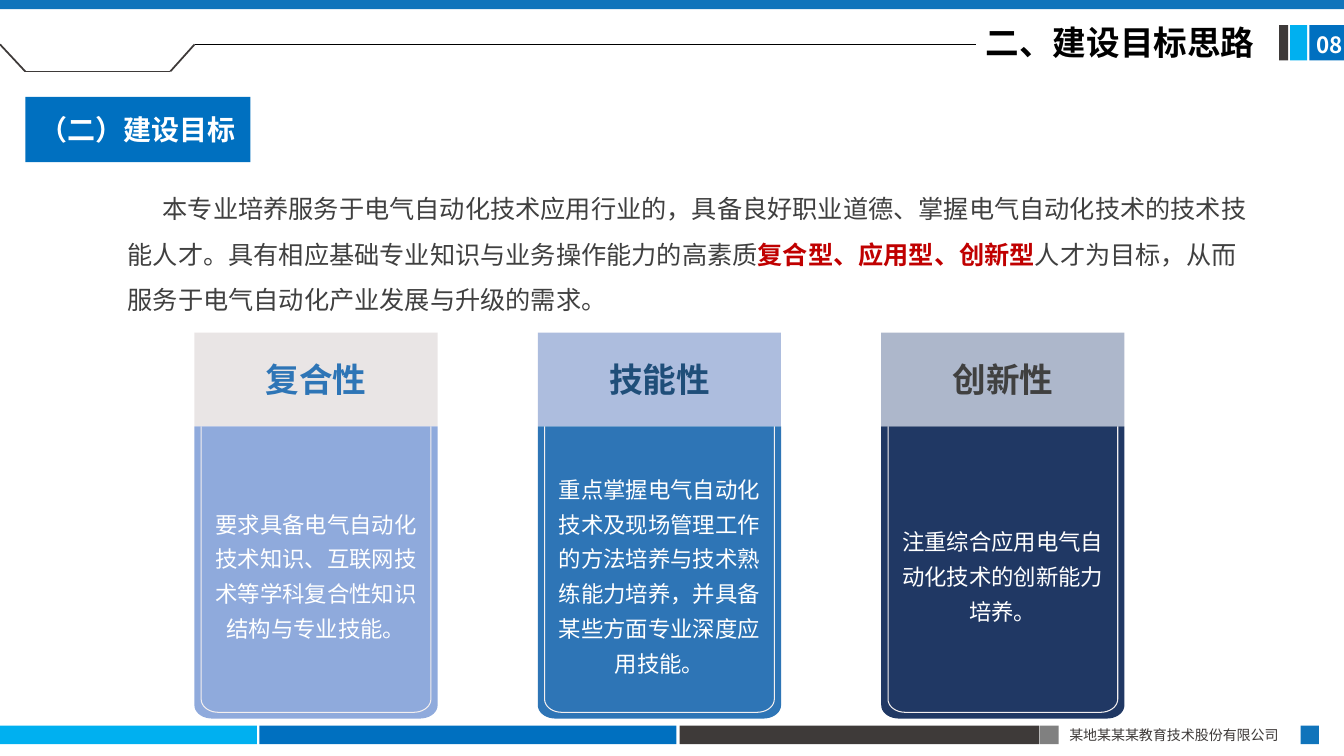
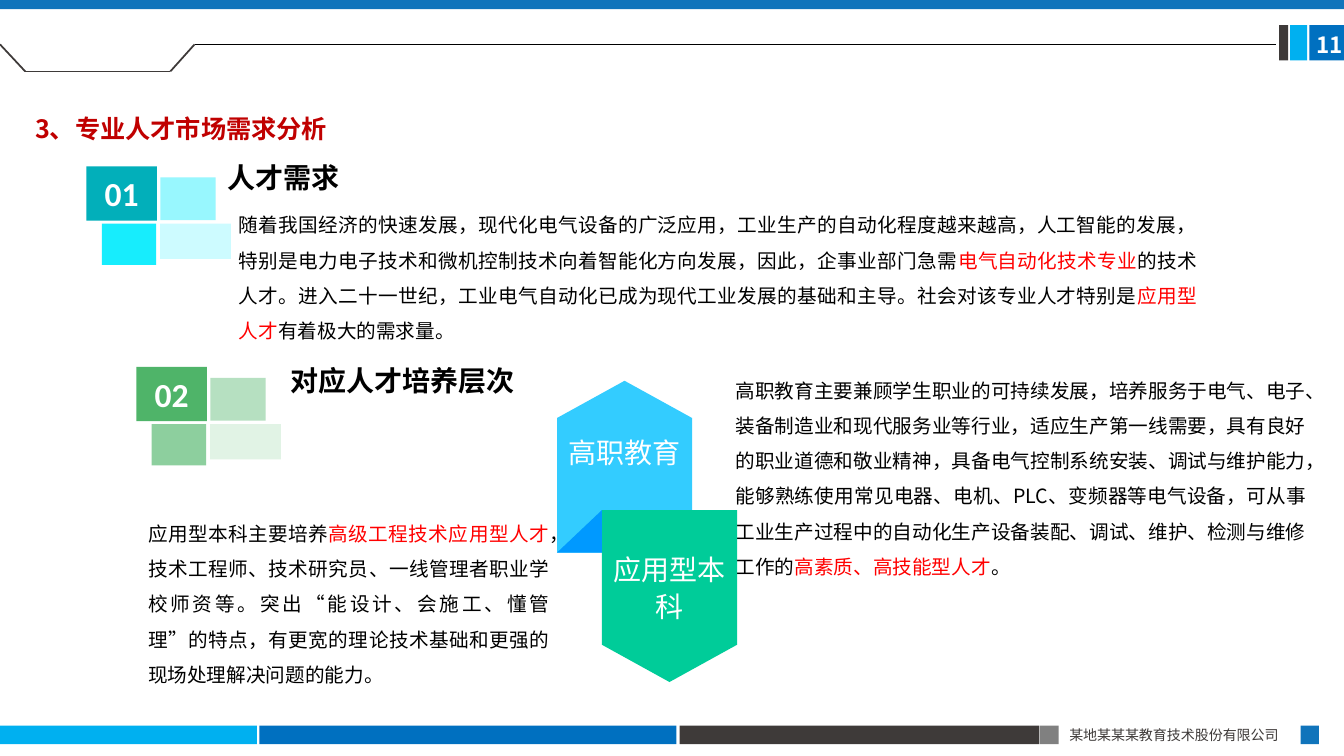
"""Build two slides on the goals of, and the demand for, an electrical automation programme."""
import math

import pptx
import pptx.dml.color
import pptx.enum.lang
import pptx.enum.shapes
import pptx.enum.text
import pptx.oxml
import pptx.oxml.ns
import pptx.util

Pt = pptx.util.Pt
RGBColor = pptx.dml.color.RGBColor
SHAPE = pptx.enum.shapes.MSO_SHAPE
ALIGN = pptx.enum.text.PP_ALIGN
ANCHOR = pptx.enum.text.MSO_ANCHOR
CHINESE = pptx.enum.lang.MSO_LANGUAGE_ID.SIMPLIFIED_CHINESE

FONT = "Noto Sans CJK SC"
NUMBER_FONT = "Calibri"
FOOTER = "某地某某某教育技术股份有限公司"

WHITE = RGBColor(0xFF, 0xFF, 0xFF)
BLACK = RGBColor(0x00, 0x00, 0x00)
CYAN = RGBColor(0x00, 0xB0, 0xF0)
BLUE = RGBColor(0x00, 0x70, 0xC0)
BAND_BLUE = RGBColor(0x10, 0x74, 0xBB)
CHARCOAL = RGBColor(0x3E, 0x3A, 0x39)
GREY = RGBColor(0x80, 0x80, 0x80)
DARK_GREY = RGBColor(0x40, 0x40, 0x40)
DARK_RED = RGBColor(0xC0, 0x00, 0x00)
RED = RGBColor(0xFF, 0x00, 0x00)
FRAME = RGBColor(0xF3, 0xEF, 0xEF)
SKY = RGBColor(0x33, 0xCC, 0xFF)
GREEN = RGBColor(0x00, 0xCC, 0x99)
FOLD = RGBColor(0x00, 0x99, 0xFF)
TEALS = [RGBColor(0x02, 0xAF, 0xBA), RGBColor(0x98, 0xF7, 0xFE),
         RGBColor(0x17, 0xED, 0xFD), RGBColor(0xCD, 0xFB, 0xFF)]
GREENS = [RGBColor(0x4F, 0xB4, 0x69), RGBColor(0xB6, 0xE0, 0xC1),
          RGBColor(0x8D, 0xCF, 0x9E), RGBColor(0xE1, 0xF3, 0xE5)]

CARDS = [
    ("复合性", "要求具备电气自动化技术知识、互联网技术等学科复合性知识结构与专业技能。",
     RGBColor(0x8F, 0xAA, 0xDC), RGBColor(0xBD, 0xAF, 0xAF), RGBColor(0x2E, 0x75, 0xB6)),
    ("技能性", "重点掌握电气自动化技术及现场管理工作的方法培养与技术熟练能力培养，并具备某些方面专业深度应用技能。",
     RGBColor(0x2E, 0x75, 0xB6), RGBColor(0x00, 0x33, 0x99), RGBColor(0x1F, 0x4E, 0x79)),
    ("创新性", "注重综合应用电气自动化技术的创新能力培养。",
     RGBColor(0x20, 0x38, 0x64), RGBColor(0x00, 0x20, 0x60), DARK_GREY),
]


def add_element(parent, tag, **attributes):
    child = pptx.oxml.parse_xml(f"<{tag} {pptx.oxml.ns.nsdecls('a')}/>")
    for name, value in attributes.items():
        child.set(name, value)
    parent.append(child)


def write(sp, pieces, size, color, bold=False, align=ALIGN.LEFT, anchor=ANCHOR.TOP,
          spacing=1.0, insets=(7.2, 3.6, 7.2, 3.6), accent=RED, accent_bold=False,
          font=FONT, indent=0):
    tf = sp.text_frame
    tf.word_wrap = True
    tf.vertical_anchor = anchor
    tf.margin_left, tf.margin_top, tf.margin_right, tf.margin_bottom = map(Pt, insets)
    p = tf.paragraphs[0]
    p.alignment = align
    p.line_spacing = spacing
    if indent:
        p._p.get_or_add_pPr().set("indent", str(Pt(indent)))
    for i, text in enumerate(pieces):
        accented = i % 2 == 1
        r = p.add_run()
        r.text = text
        r.font.size = Pt(size)
        r.font.bold = accent_bold if accented else bold
        r.font.name = font
        r.font.language_id = CHINESE
        r.font.color.rgb = accent if accented else color
        add_element(r._r.get_or_add_rPr(), "a:ea", typeface=FONT)


def add_text(s, box, pieces, size, color, **style):
    sp = s.shapes.add_textbox(*map(Pt, box))
    write(sp, pieces, size, color, **style)


def paint(sp, color):
    sp.shadow.inherit = False
    sp.fill.solid()
    sp.fill.fore_color.rgb = color
    sp.line.fill.background()


def add_block(s, box, color, kind=SHAPE.RECTANGLE):
    sp = s.shapes.add_shape(kind, *map(Pt, box))
    paint(sp, color)
    return sp


def add_line(s, start, end, color, width):
    c = s.shapes.add_connector(pptx.enum.shapes.MSO_CONNECTOR.STRAIGHT, *map(Pt, start + end))
    c.line.color.rgb = color
    c.line.width = Pt(width)
    add_element(c._element.spPr, "a:effectLst")


def add_outline(s, points, closed=True):
    points = [(Pt(x), Pt(y)) for x, y in points]
    builder = s.shapes.build_freeform(*points[0], scale=1.0)
    builder.add_line_segments(points[1:], close=closed)
    return builder.convert_to_shape()


def rounded_base(left, top, width, height, rx, ry):
    """Return the points of a box with round bottom corners, open at the top."""
    corners = [(left + rx, 180), (left + width - rx, 90)]
    arcs = [(x + rx * math.cos(math.radians(start - step)),
             top + height - ry + ry * math.sin(math.radians(start - step)))
            for x, start in corners for step in range(0, 91, 10)]
    return [(left, top), *arcs, (left + width, top)]


def add_frame(s, number, line_end):
    for left, width, color in [(0, 183.6, CYAN), (185.2, 298, BLUE), (485.4, 257, CHARCOAL),
                               (743, 13.2, GREY), (929, 13.2, BAND_BLUE)]:
        add_block(s, (left, 518.4, width, 13.2), color)
    add_text(s, (756.7, 515.5, 172.8, 19.4), [FOOTER], 10, CHARCOAL, align=ALIGN.JUSTIFY)
    for left, width, color in [(935.3, 24.7, BLUE), (921.6, 12.2, CYAN), (913.7, 6.5, CHARCOAL)]:
        add_block(s, (left, 18, width, 25.2), color)
    add_block(s, (0, 0, 960, 6.5), BAND_BLUE)
    notch = [(0, 31.7), (18, 51), (121.7, 51), (139, 31.7)]
    for start, end in zip(notch, notch[1:]):
        add_line(s, start, end, CHARCOAL, 1.25)
    add_line(s, notch[-1], (line_end, 31.7), BLACK, 0.5)
    add_text(s, (933.1, 18.7, 36, 26.6), [number], 16, WHITE, bold=True)


def add_card(s, left, title, body, panel_color, head_color, title_color):
    top, width, height = 304.5, 173.7, 208.8
    panel = add_outline(s, rounded_base(left, top, width, height, 12.6, 9.5))
    paint(panel, panel_color)
    write(panel, [body], 16, WHITE, align=ALIGN.CENTER, anchor=ANCHOR.MIDDLE, spacing=1.3)
    head = add_block(s, (left, 237.6, width, top - 237.6), head_color)
    add_element(head._element.spPr.find(".//" + pptx.oxml.ns.qn("a:srgbClr")),
                "a:alpha", val="32000")
    write(head, [title], 24, title_color, bold=True, align=ALIGN.CENTER,
          anchor=ANCHOR.MIDDLE, insets=(2.9,) * 4)
    rim = add_outline(s, rounded_base(left + 4.8, top, width - 9.6, height - 4.5, 12.2, 9.4), False)
    rim.shadow.inherit = False
    rim.fill.background()
    rim.line.color.rgb = FRAME
    rim.line.width = Pt(0.75)


def add_badge(s, left, top, number, colors):
    tiles = [(0, 0, 50.4, 38.9), (52.8, 7.9, 39.6, 30.6), (11, 41, 38.9, 29.5), (52.8, 41, 50.4, 25.2)]
    for i, ((dx, dy, width, height), color) in enumerate(zip(tiles, colors)):
        sp = add_block(s, (left + dx, top + dy, width, height), color)
        if i == 0:
            write(sp, [number], 24, WHITE, bold=True, align=ALIGN.CENTER,
                  anchor=ANCHOR.MIDDLE, font=NUMBER_FONT)


def add_banner(s, left, tip, direction, label, color, bottom_inset):
    width, shoulder, length = 96.5, 26.6, 122.8
    near, far = tip + direction * shoulder, tip + direction * length
    sp = add_outline(s, [(left + width / 2, tip), (left + width, near), (left + width, far),
                         (left, far), (left, near)])
    paint(sp, color)
    write(sp, [label], 20, WHITE, align=ALIGN.CENTER, anchor=ANCHOR.MIDDLE,
          spacing=1.1, insets=(0, 0, 0, bottom_inset))


def add_heading(s, left, top, text):
    add_text(s, (left, top, 514.8, 35.3), [text], 20, BLACK, bold=True,
             anchor=ANCHOR.BOTTOM, insets=(0,) * 4)


def add_body(s, box, pieces):
    add_text(s, box, pieces, 14, BLACK, align=ALIGN.JUSTIFY, spacing=1.5, insets=(0,) * 4)


def build_goals(s):
    add_frame(s, "08", 697)
    add_text(s, (697, 15.1, 214.6, 36), ["二、建设目标思路"], 24, BLACK, bold=True, spacing=0.9)
    tag = add_block(s, (18.2, 69.3, 160.6, 46.6), BLUE)
    write(tag, ["（二）建设目标"], 20, WHITE, bold=True, align=ALIGN.CENTER,
          anchor=ANCHOR.MIDDLE, font=NUMBER_FONT)
    add_text(s, (84.7, 124.6, 814.3, 104.4), [
        "本专业培养服务于电气自动化技术应用行业的，具备良好职业道德、掌握电气自动化技术的技术技能人才。"
        "具有相应基础专业知识与业务操作能力的高素质",
        "复合型、应用型、创新型",
        "人才为目标，从而服务于电气自动化产业发展与升级的需求。",
    ], 18, DARK_GREY, spacing=1.5, insets=(6.5, 2.9, 6.5, 2.9), accent=DARK_RED,
        accent_bold=True, indent=25)
    for i, card in enumerate(CARDS):
        add_card(s, 138.9 + 245.3 * i, *card)


def build_demand(s):
    add_frame(s, "11", 911.5)
    add_text(s, (18, 70.6, 285, 35.3), ["3、专业人才市场需求分析"], 18, DARK_RED,
             bold=True, spacing=1.3)
    add_body(s, (170.6, 144, 684.7, 97.9), [
        "随着我国经济的快速发展，现代化电气设备的广泛应用，工业生产的自动化程度越来越高，人工智能的发展，"
        "特别是电力电子技术和微机控制技术向着智能化方向发展，因此，企事业部门急需",
        "电气自动化技术专业",
        "的技术人才。进入二十一世纪，工业电气自动化已成为现代工业发展的基础和主导。社会对该专业人才特别是",
        "应用型人才",
        "有着极大的需求量。",
    ])
    add_heading(s, 162.7, 103, "人才需求")
    add_body(s, (525.4, 262, 407.5, 151.2), [
        "高职教育主要兼顾学生职业的可持续发展，培养服务于电气、电子、装备制造业和现代服务业等行业，"
        "适应生产第一线需要，具有良好的职业道德和敬业精神，具备电气控制系统安装、调试与维护能力，"
        "能够熟练使用常见电器、电机、PLC、变频器等电气设备，可从事工业生产过程中的自动化生产设备装配、"
        "调试、维护、检测与维修工作的",
        "高素质、高技能型人才",
        "。",
    ])
    add_heading(s, 207.4, 248.4, "对应人才培养层次")
    add_badge(s, 61.7, 118.8, "01", TEALS)
    add_badge(s, 97.4, 262, "02", GREENS)
    add_banner(s, 397.9, 272, 1, "高职教育", SKY, 22.3)
    add_banner(s, 430, 487.2, -1, "应用型本科", GREEN, 14.4)
    fold = add_block(s, (397.9, 364.4, 32.1, 30.4), FOLD, SHAPE.RIGHT_TRIANGLE)
    fold._element.spPr.get_or_add_xfrm().set("flipH", "1")
    add_body(s, (105.8, 364.3, 286.6, 154), [
        "应用型本科主要培养",
        "高级工程技术应用型人才",
        "，技术工程师、技术研究员、一线管理者职业学校师资等。突出“能设计、会施工、懂管理”的特点，"
        "有更宽的理论技术基础和更强的现场处理解决问题的能力。",
    ])


def main():
    prs = pptx.Presentation()
    prs.slide_width, prs.slide_height = Pt(960), Pt(540)
    for build in (build_goals, build_demand):
        build(prs.slides.add_slide(prs.slide_layouts[6]))
    prs.save("out.pptx")


if __name__ == "__main__":
    main()
